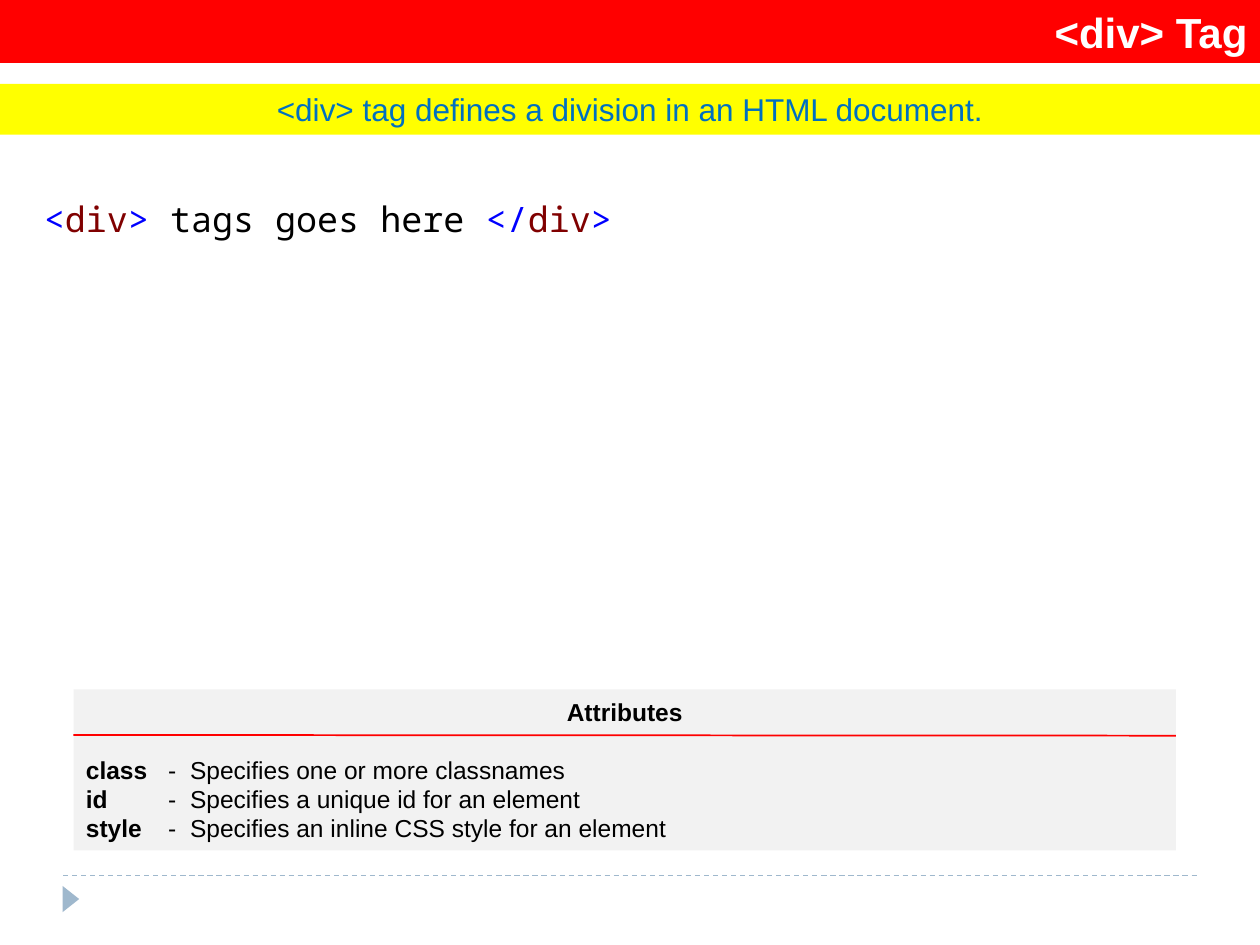
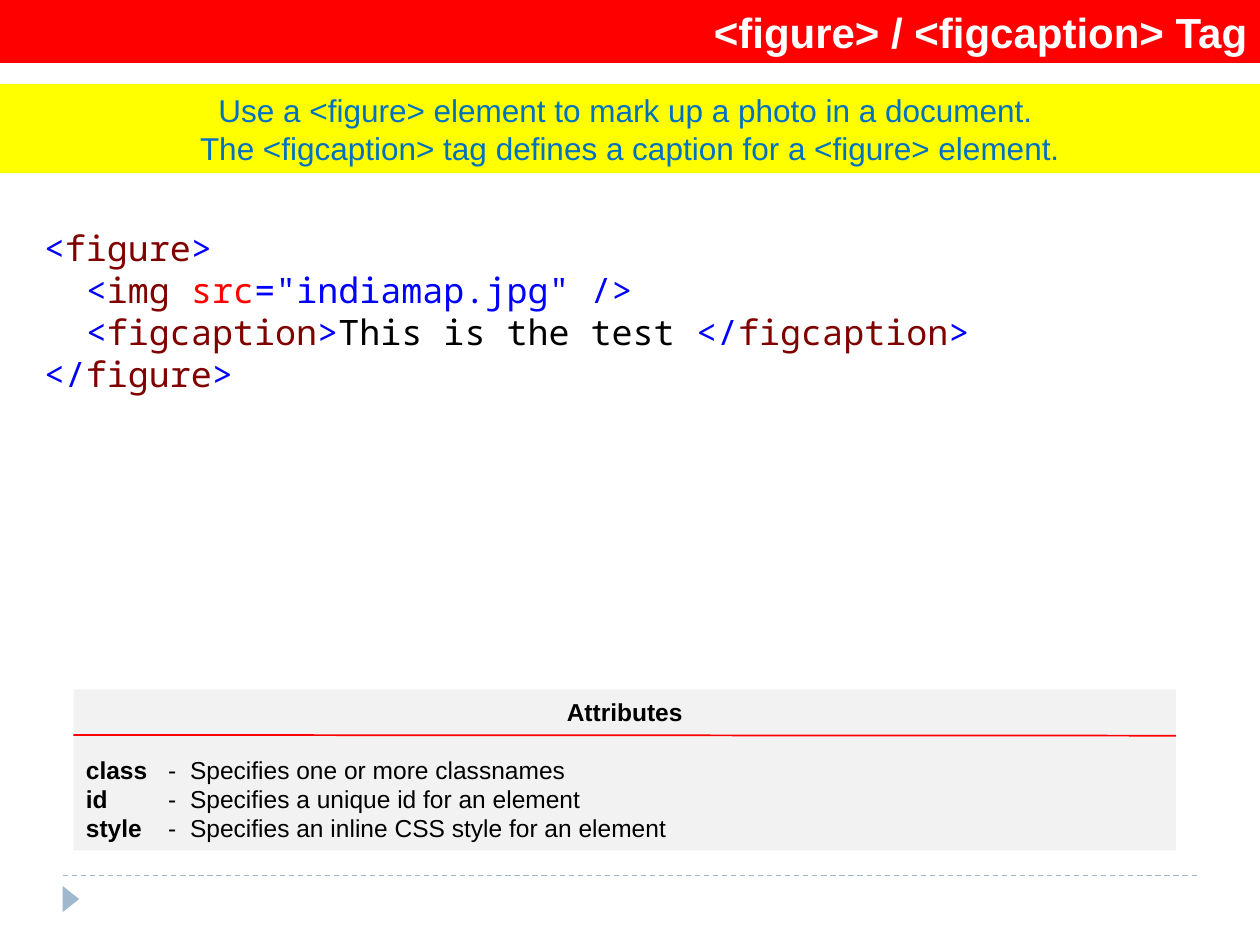
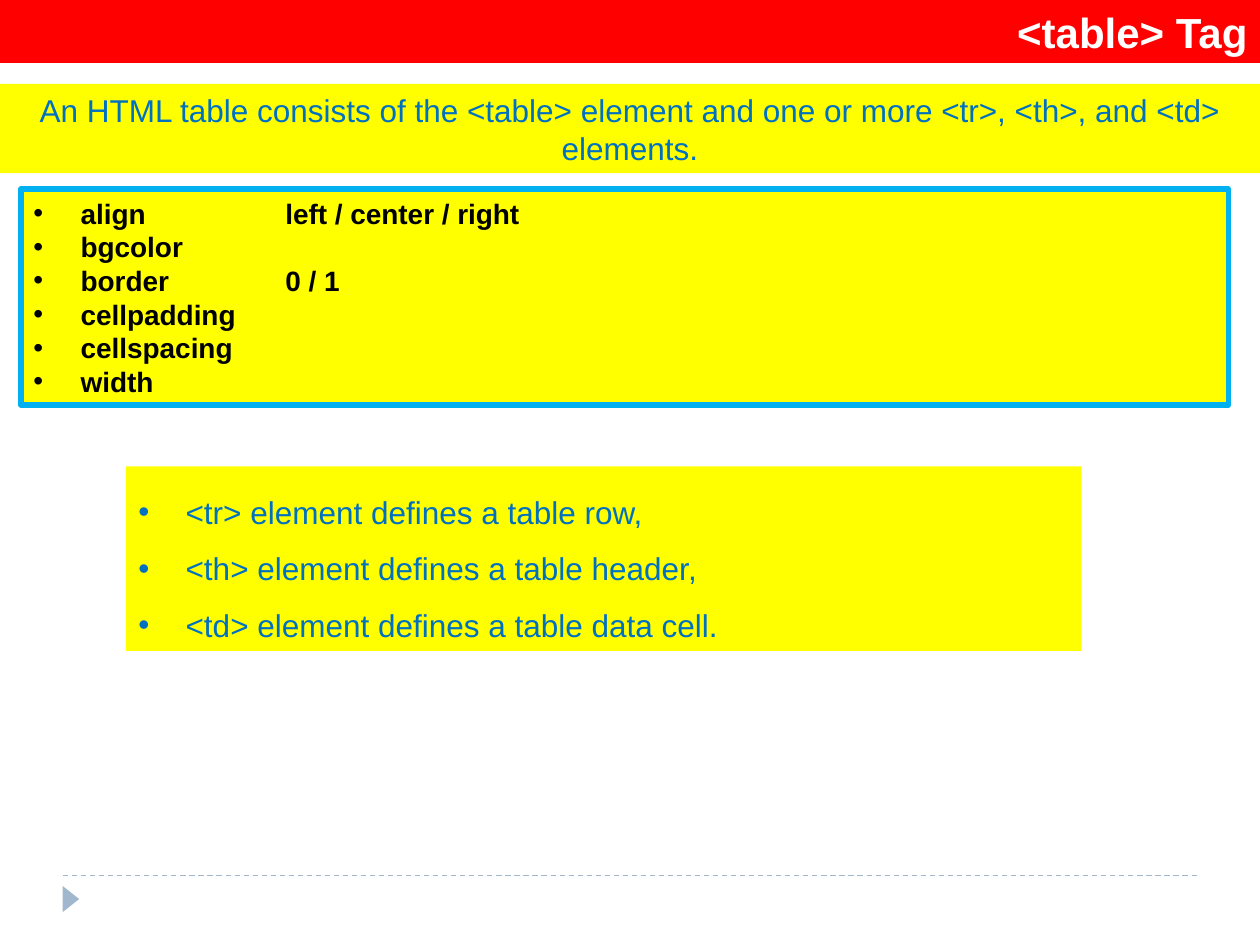
import dataclasses

import pptx
import pptx.dml.color
import pptx.enum.dml
import pptx.enum.shapes
import pptx.enum.text
import pptx.oxml.ns
import pptx.util
from lxml import etree

Pt = pptx.util.Pt
ALIGN = pptx.enum.text.PP_ALIGN
SHAPES = pptx.enum.shapes.MSO_SHAPE


@dataclasses.dataclass(frozen=True)
class Theme:
    font: str = "Arial"
    code_font: str = "Noto Sans Mono"
    title_size: int = 24
    code_size: int = 20
    body_size: int = 18
    list_size: int = 16
    note_size: int = 14
    white: str = "FFFFFF"
    black: str = "000000"
    red: str = "FF0000"
    yellow: str = "FFFF00"
    blue: str = "0070C0"
    sky: str = "00B0F0"
    grey: str = "F2F2F2"
    footer: str = "9FB8CD"
    code_mark: str = "0000FF"
    code_tag: str = "800000"


theme = Theme()
rgb = pptx.dml.color.RGBColor.from_string


def add_panel(slide, left, top, width, height, fill, kind=SHAPES.RECTANGLE):
    shape = slide.shapes.add_shape(kind, Pt(left), Pt(top), Pt(width), Pt(height))
    shape.shadow.inherit = False
    shape.fill.solid()
    shape.fill.fore_color.rgb = rgb(fill)
    shape.line.fill.background()
    return shape


def write_paragraph(shape, runs, size, font=theme.font, alignment=ALIGN.LEFT,
                    bullet_indent=0, tabs=()):
    """Add a paragraph of (text, colour, bold) runs after any existing text."""
    frame = shape.text_frame
    frame.word_wrap = True
    paragraph = frame.add_paragraph() if frame.text else frame.paragraphs[0]
    paragraph.alignment = alignment
    properties = paragraph._p.get_or_add_pPr()
    if bullet_indent:
        properties.set("marL", str(Pt(bullet_indent)))
        properties.set("indent", str(-Pt(bullet_indent)))
        etree.SubElement(properties, pptx.oxml.ns.qn("a:buFont"), typeface=theme.font)
        etree.SubElement(properties, pptx.oxml.ns.qn("a:buChar"), char="•")
    if tabs:
        tab_list = etree.SubElement(properties, pptx.oxml.ns.qn("a:tabLst"))
        for position in tabs:
            etree.SubElement(tab_list, pptx.oxml.ns.qn("a:tab"), pos=str(Pt(position)), algn="l")
    for text, color, bold in runs:
        run = paragraph.add_run()
        run.text = text
        run.font.name = font
        run.font.size = Pt(size)
        run.font.bold = bold
        run.font.color.rgb = rgb(color)
    return paragraph


# Content: code lines are lists of (text, colour)
mark, tag = theme.code_mark, theme.code_tag
pages = [
    {
        "title": "<div> Tag",
        "summary": ["<div> tag defines a division in an HTML document."],
        "summary_height": 29,
        "code_top": 109.5,
        "code": [
            [("<", mark), ("div", tag), (">", mark), (" tags goes here ", theme.black),
             ("</", mark), ("div", tag), (">", mark)],
        ],
    },
    {
        "title": "<figure> / <figcaption> Tag",
        "summary": ["Use a <figure> element to mark up a photo in a document. ",
                    "The <figcaption> tag defines a caption for a <figure> element."],
        "summary_height": 51,
        "code_top": 126,
        "code": [
            [("<", mark), ("figure", tag), (">", mark)],
            [("  ", theme.black), ("<", mark), ("img ", tag), ("src", theme.red),
             ('="indiamap.jpg" />', mark)],
            [("  ", theme.black), ("<", mark), ("figcaption", tag), (">", mark),
             ("This is the test ", theme.black), ("</", mark), ("figcaption", tag), (">", mark)],
            [("</", mark), ("figure", tag), (">", mark)],
        ],
    },
    {
        "title": "<table> Tag",
        "summary": ["An HTML table consists of the <table> element and one or more "
                    "<tr>, <th>, and <td> elements."],
        "summary_height": 51,
        "code": [],
    },
]
attributes = [
    ("class", "Specifies one or more classnames"),
    ("id", "Specifies a unique id for an element"),
    ("style", "Specifies an inline CSS style for an element"),
]
table_attributes = ["align\tleft / center / right", "bgcolor", "border\t0 / 1",
                    "cellpadding", "cellspacing", "width"]
table_elements = ["<tr> element defines a table row,",
                  "<th> element defines a table header,",
                  "<td> element defines a table data cell."]

presentation = pptx.Presentation()
presentation.slide_width = Pt(720)
presentation.slide_height = Pt(540)

for page in pages:
    slide = presentation.slides.add_slide(presentation.slide_layouts[6])
    rules = [(36, 500.4, 684, 500.4, theme.footer, 0.75)]

    # Footer arrow
    arrow = add_panel(slide, 33, 509, 15, 9.5, theme.footer, SHAPES.ISOSCELES_TRIANGLE)
    arrow.rotation = 90

    # Title and summary bands
    title_band = add_panel(slide, 0, 0, 720, 36, theme.red)
    write_paragraph(title_band, [(page["title"], theme.white, True)],
                    theme.title_size, alignment=ALIGN.RIGHT)
    summary_band = add_panel(slide, 0, 48, 720, page["summary_height"], theme.yellow)
    for line in page["summary"]:
        write_paragraph(summary_band, [(line, theme.blue, False)],
                        theme.body_size, alignment=ALIGN.CENTER)

    if page["code"]:
        # Attributes panel
        panel = add_panel(slide, 42, 394, 630, 92, theme.grey)
        write_paragraph(panel, [("Attributes", theme.black, True)],
                        theme.note_size, alignment=ALIGN.CENTER)
        for index, (name, meaning) in enumerate(attributes):
            paragraph = write_paragraph(
                panel, [(name, theme.black, True), ("\t-\t" + meaning, theme.black, False)],
                theme.note_size, tabs=(47, 59.5))
            if index == 0:
                paragraph.space_before = Pt(16)
        rules.append((42, 420, 672, 420.4, theme.red, 1))

        # Code sample
        code_box = slide.shapes.add_textbox(Pt(18), Pt(page["code_top"]), Pt(684),
                                            Pt(7.5 + 24 * len(page["code"])))
        for line in page["code"]:
            write_paragraph(code_box, [(text, color, False) for text, color in line],
                            theme.code_size, font=theme.code_font)
    else:
        # Table elements and table attributes
        element_panel = add_panel(slide, 72, 266.5, 546, 105.5, theme.yellow)
        for line in table_elements:
            paragraph = write_paragraph(element_panel, [(line, theme.blue, False)],
                                        theme.body_size, bullet_indent=27)
            paragraph.line_spacing = 1.5
        attribute_panel = add_panel(slide, 12, 108, 690, 123.5, theme.yellow)
        attribute_panel.line.color.rgb = rgb(theme.sky)
        attribute_panel.line.width = Pt(3)
        for line in table_attributes:
            write_paragraph(attribute_panel, [(line, theme.black, True)],
                            theme.list_size, bullet_indent=27, tabs=(144,))

    # Footer rule and attributes rule
    for left, top, right, bottom, color, width in rules:
        rule = slide.shapes.add_connector(pptx.enum.shapes.MSO_CONNECTOR.STRAIGHT,
                                          Pt(left), Pt(top), Pt(right), Pt(bottom))
        rule.line.color.rgb = rgb(color)
        rule.line.width = Pt(width)
        if color == theme.footer:
            rule.line.dash_style = pptx.enum.dml.MSO_LINE.DASH
        etree.SubElement(rule._element.spPr, pptx.oxml.ns.qn("a:effectLst"))

presentation.save("out.pptx")
